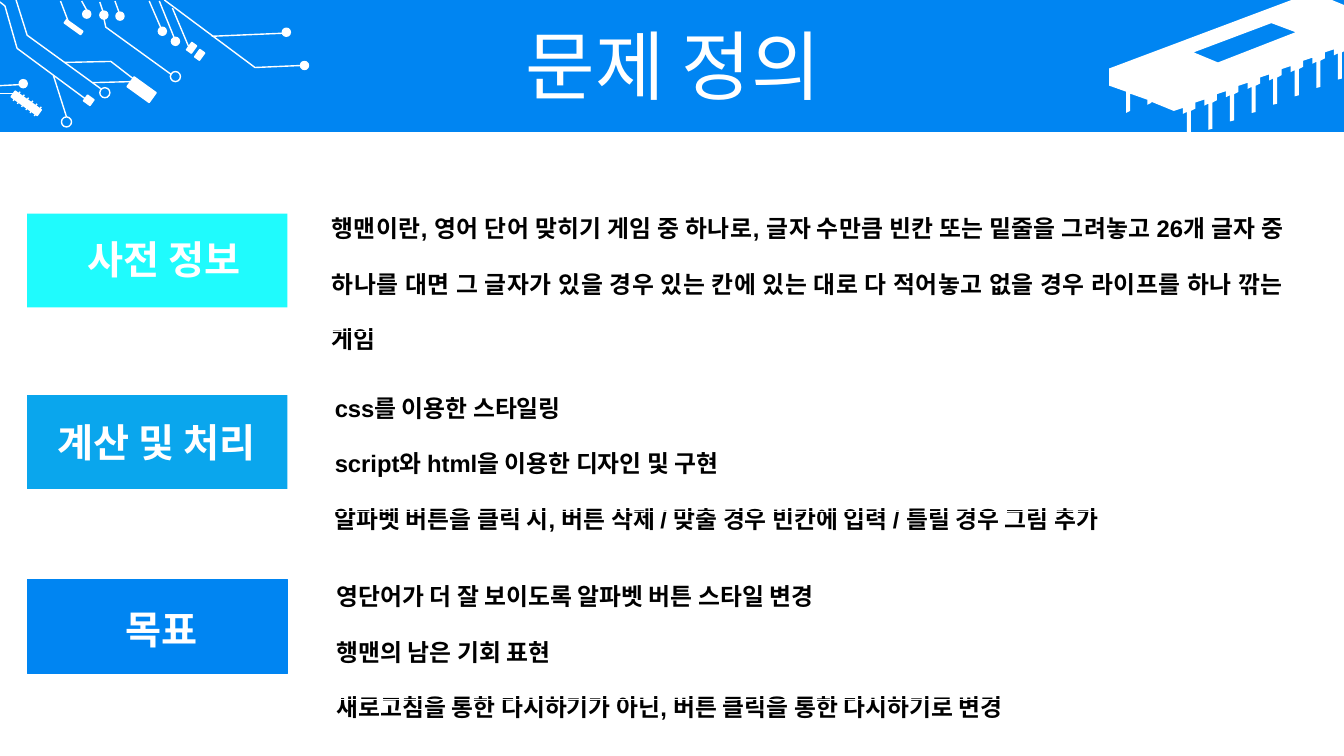
"""Build the problem-definition slide with its circuit banner and three sections."""

from dataclasses import dataclass
from typing import NamedTuple

from lxml.etree import SubElement
from pptx import Presentation
from pptx.dml.color import RGBColor
from pptx.enum.shapes import MSO_CONNECTOR as Connector, MSO_SHAPE as Preset
from pptx.enum.text import MSO_ANCHOR as Anchor, MSO_AUTO_SIZE as AutoSize, PP_ALIGN as Align
from pptx.oxml.ns import qn
from pptx.shapes.autoshape import Shape
from pptx.slide import Slide
from pptx.text.text import TextFrame
from pptx.util import Cm, Length, Pt


@dataclass(frozen=True)
class Theme:
    font: str = "Arial"
    title_size: float = 54
    label_size: float = 28
    body_size: float = 17
    trace_width: float = 1
    tilt: float = 35.7
    white: RGBColor = RGBColor(0xFF, 0xFF, 0xFF)
    black: RGBColor = RGBColor(0, 0, 0)
    blue: RGBColor = RGBColor(0x00, 0x85, 0xF2)
    sky: RGBColor = RGBColor(0x0A, 0xA6, 0xED)
    cyan: RGBColor = RGBColor(0x1F, 0xFB, 0xFD)


THEME = Theme()


class Box(NamedTuple):
    left: float
    top: float
    width: float
    height: float


class Point(NamedTuple):
    x: float
    y: float


class Section(NamedTuple):
    label: str
    color: RGBColor
    panel_top: float
    caption: Box
    table: Box
    lines: list[str]
    outline: float = 0


SECTIONS = [
    Section("사전 정보", THEME.cyan, 2.12, Box(0.61, 2.29, 2.04, 0.57), Box(3.19, 1.83, 9.64, 1.38),
            ["행맨이란, 영어 단어 맞히기 게임 중 하나로, 글자 수만큼 빈칸 또는 밑줄을 그려놓고 26개 "
             "글자 중 하나를 대면 그 글자가 있을 경우 있는 칸에 있는 대로 다 적어놓고 없을 경우 "
             "라이프를 하나 깎는 게임"]),
    Section("계산 및 처리", THEME.sky, 3.92, Box(0.36, 4.1, 2.39, 0.56), Box(3.22, 3.61, 9.64, 1.27),
            ["css를 이용한 스타일링", "script와 html을 이용한 디자인 및 구현",
             "알파벳 버튼을 클릭 시, 버튼 삭제 / 맞출 경우 빈칸에 입력 / 틀릴 경우 그림 추가"]),
    Section("목표", THEME.blue, 5.75, Box(0.57, 5.96, 2.06, 0.57), Box(3.24, 5.48, 9.64, 1.27),
            ["영단어가 더 잘 보이도록 알파벳 버튼 스타일 변경", "행맨의 남은 기회 표현",
             "새로고침을 통한 다시하기가 아닌, 버튼 클릭을 통한 다시하기로 변경"], 1),
]

COMPONENTS = [Box(1.27, 0.83, 0.27, 0.12), Box(0.63, 0.25, 0.2, 0.04), Box(0.84, 0.96, 0.08, 0.07),
              Box(1.87, 0.43, 0.06, 0.09), Box(1.95, 0.5, 0.06, 0.09), Box(0.1, 0.99, 0.32, 0.07)]
PADS = [(2.98, 0.61), (2.8, 0.28), (0.82, 0.1), (0.99, 0.11), (1.15, 0.12), (0.19, 0.79),
        (1.7, 0.37), (1.57, 0.27)]
RINGS = [(1.69, 0.71), (0.99, 0.87), (0.61, 1.16)]
PAD_SIZE, RING_SIZE = 0.08, 0.1

TRACES = [
    [(0.6, 0.01), (0.68, 0.22)], [(0.81, 0.01), (0.86, 0.1)], [(0.99, 0.02), (1.02, 0.11)],
    [(1.14, 0.01), (1.18, 0.12)], [(1.48, 0.01), (1.61, 0.31)], [(1.58, 0.01), (1.73, 0.38)],
    [(2.1, 0.36), (2.8, 0.33)], [(1.71, 0.08), (1.87, 0.46)], [(0, 0.85), (0.19, 0.84)],
    [(0, 0.93), (0.14, 0.93)], [(0.53, 0.75), (0.66, 1.16)], [(0.92, 0.82), (1.3, 0.81)],
]
COIL_TURNS = [[(0.13 + 0.042 * turn, 1 + 0.03 * turn), (0.2 + 0.042 * turn, 0.91 + 0.03 * turn)]
              for turn in range(6)]
BENT_TRACES = [
    [(1.63, 0), (2.53, 0.67), (2.99, 0.65)], [(0.16, 0), (0.27, 0.35), (1, 0.88)],
    [(0, 0.02), (0.05, 0.06), (0.17, 0.48), (0.86, 0.99)],
    [(0.64, 0.62), (1.1, 0.61), (1.32, 0.78)], [(1.03, 0.18), (1.05, 0.27), (1.7, 0.74)],
]

PIN = [(0, 0), (0, 0.26), (-0.04, 0.27), (-0.04, 0.01), (-0.08, 0.03), (-0.08, -0.03),
       (-0.17, 0), (-0.17, 0.06)]
PIN_ROW = [(13.31 - 0.214 * pin + x, 0.52 + 0.083 * pin + y) for pin in range(8) for x, y in PIN]
CHIP_BODY = [(12.81, 0), (13.21, 0), (13.33, 0.05), (13.33, 0.51), *PIN_ROW[:-1],
             (11.42, 1.01), (11.42, 1.02), (11.38, 1.04), (11.38, 0.99), (11.21, 0.93),
             (11.21, 1.1), (11.17, 1.12), (11.17, 0.91), (11, 0.85), (11, 0.68)]
CHIP_WINDOW = [(12.61, 0.23), (11.84, 0.52), (12.08, 0.62), (12.85, 0.32)]


def inches(value: float) -> Length:
    """Turn a layout value in inches into a length."""
    return Cm(value * 2.54)


def place(values: tuple[float, ...]) -> list[Length]:
    """Turn layout values into lengths."""
    return [inches(value) for value in values]


def paint(shape: Shape, fill: RGBColor | None, line: RGBColor | None = None,
          width: float = THEME.trace_width) -> None:
    """Set the fill and outline of a shape and remove its shadow."""
    shape.shadow.inherit = False
    if fill is None:
        shape.fill.background()
    else:
        shape.fill.solid()
        shape.fill.fore_color.rgb = fill
    if line is None:
        shape.line.fill.background()
    else:
        shape.line.color.rgb = line
        shape.line.width = Pt(width)


def add_preset(slide: Slide, preset: Preset, box: Box, fill: RGBColor | None,
               line: RGBColor | None = None, tilt: float = 0) -> Shape:
    """Add a preset shape."""
    shape = slide.shapes.add_shape(preset, *place(box))
    shape.rotation = tilt
    paint(shape, fill, line)
    return shape


def add_outline(slide: Slide, contours: list[list[tuple[float, float]]], closed: bool) -> Shape:
    """Add a freeform made of one or more contours."""
    first, *others = [[place(point) for point in contour] for contour in contours]
    builder = slide.shapes.build_freeform(*first[0])
    builder.add_line_segments(first[1:], close=closed)
    for contour in others:
        builder.move_to(*contour[0])
        builder.add_line_segments(contour[1:], close=closed)
    return builder.convert_to_shape()


def add_trace(slide: Slide, start: Point, end: Point) -> None:
    """Add a straight circuit trace."""
    trace = slide.shapes.add_connector(Connector.STRAIGHT, *place(start), *place(end))
    trace.line.color.rgb = THEME.white
    trace.line.width = Pt(THEME.trace_width)
    SubElement(trace.element.spPr, qn("a:effectLst"))


def write(frame: TextFrame, text: str, size: float, color: RGBColor, align: Align,
          spacing: float = 1, bold: bool = True) -> None:
    """Fill a text frame and format its runs."""
    frame.word_wrap = True
    frame.text = text
    for paragraph in frame.paragraphs:
        paragraph.alignment = align
        paragraph.line_spacing = spacing
        paragraph.space_before = Pt(0)
        for run in paragraph.runs:
            run.font.name = THEME.font
            run.font.size = Pt(size)
            run.font.bold = bold
            run.font.color.rgb = color


def add_banner(slide: Slide) -> None:
    """Draw the banner with its chip, circuit and title."""
    add_preset(slide, Preset.RECTANGLE, Box(0, 0, 13.33, 1.31), THEME.blue)
    paint(add_outline(slide, [CHIP_BODY, CHIP_WINDOW], True), THEME.white)
    for box in COMPONENTS:
        add_preset(slide, Preset.RECTANGLE, box, THEME.white, THEME.white, THEME.tilt)
    for positions, size, fill in ((PADS, PAD_SIZE, THEME.white), (RINGS, RING_SIZE, None)):
        for left, top in positions:
            add_preset(slide, Preset.OVAL, Box(left, top, size, size), fill, THEME.white)
    for start, end in TRACES + COIL_TURNS:
        add_trace(slide, Point(*start), Point(*end))
    for points in BENT_TRACES:
        paint(add_outline(slide, [points], False), None, THEME.white)
    title = slide.shapes.title
    title.left, title.top, title.width, title.height = place(Box(0.35, 0.3, 12.66, 0.79))
    write(title.text_frame, "문제 정의", THEME.title_size, THEME.white, Align.CENTER, 0.9, False)
    title.text_frame.auto_size = AutoSize.NONE
    title.text_frame.vertical_anchor = Anchor.MIDDLE
    slide.shapes.element.append(title.element)


def add_section(slide: Slide, section: Section) -> None:
    """Draw a coloured label and the table beside it."""
    panel = add_preset(slide, Preset.RECTANGLE, Box(0.27, section.panel_top, 2.58, 0.93), section.color)
    if section.outline:
        paint(panel, section.color, section.color, section.outline)
    caption = slide.shapes.add_textbox(*place(section.caption))
    write(caption.text_frame, section.label, THEME.label_size, THEME.white, Align.CENTER)
    table = slide.shapes.add_table(1, 1, *place(section.table)).table
    table.first_row = table.horz_banding = False
    cell = table.cell(0, 0)
    cell.fill.solid()
    cell.fill.fore_color.rgb = THEME.white
    write(cell.text_frame, "\n".join(section.lines), THEME.body_size, THEME.black, Align.JUSTIFY, 1.6)


def main() -> None:
    """Build and save the presentation."""
    presentation = Presentation()
    presentation.slide_width, presentation.slide_height = place((13.33, 7.5))
    slide = presentation.slides.add_slide(presentation.slide_layouts[5])
    add_banner(slide)
    for section in SECTIONS:
        add_section(slide, section)
    presentation.save("out.pptx")


if __name__ == "__main__":
    main()
